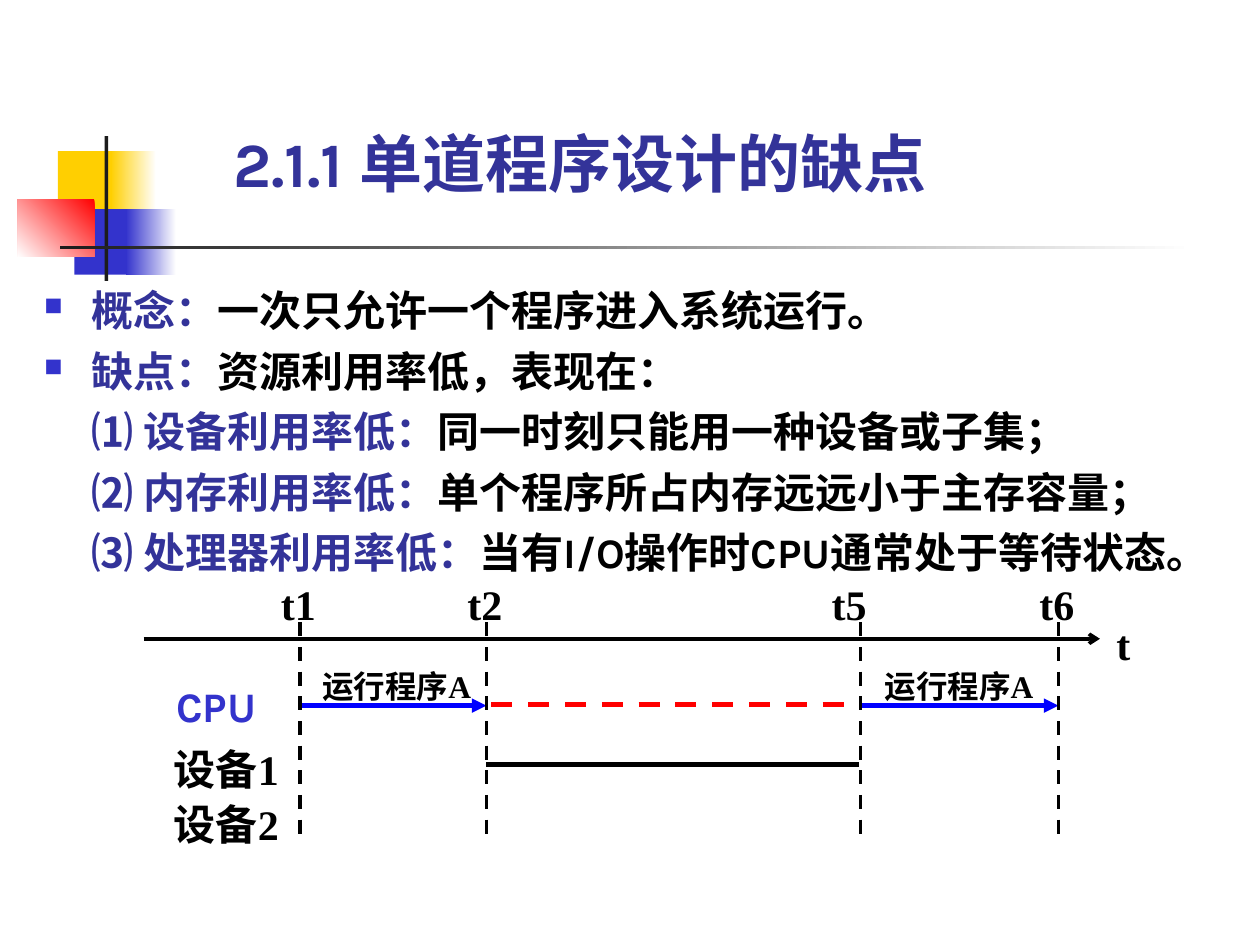
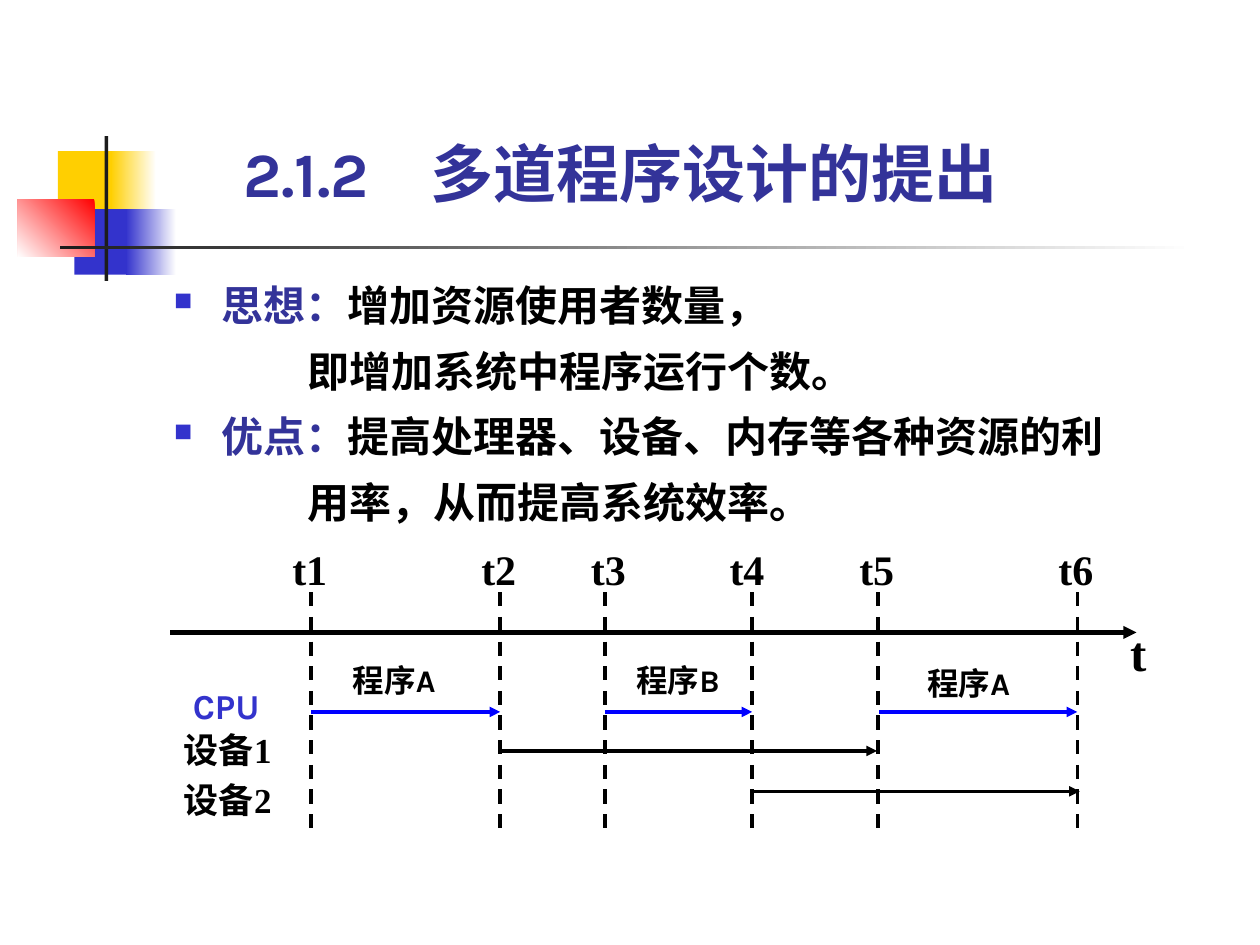
from dataclasses import dataclass

from lxml.etree import SubElement
from pptx import Presentation
from pptx.dml.color import RGBColor
from pptx.enum.dml import MSO_LINE
from pptx.enum.shapes import MSO_CONNECTOR, MSO_SHAPE
from pptx.enum.text import MSO_ANCHOR, MSO_AUTO_SIZE as AutoSize, PP_ALIGN
from pptx.oxml.ns import qn
from pptx.slide import Slide
from pptx.text.text import TextFrame, _Paragraph as Paragraph
from pptx.util import Emu, Inches, Pt

COLORS = {
    "yellow": "FFCF01", "indigo": "3333CC", "red": "FF0000", "white": "FFFFFF",
    "ink": "1C1C1C", "heading": "333399", "black": "000000", "blue": "0000FF",
}
SANS, SERIF = "Karla", "Times New Roman"

# The page is a grid of 100 columns by 75 rows of square cells.
WIDTH, HEIGHT = Inches(10), Inches(7.5)
CELL = WIDTH / 100
HANG = 3.8
TITLE_WIDTH, TITLE_HEIGHT = 62.6, 6


@dataclass(frozen=True)
class Band:
    left: float
    top: float
    width: float
    height: float
    colors: tuple[str, ...]
    angle: float = 180


@dataclass(frozen=True)
class Label:
    text: str
    left: float
    top: float
    width: float
    size: float = 24
    font: str = SERIF
    color: str = "black"


@dataclass(frozen=True)
class Stroke:
    start: float
    end: float
    row: float
    color: str = "black"
    weight: float = 2
    head: str = "triangle"
    dashed: bool = False


@dataclass(frozen=True)
class Mark:
    """A moment on the time axis; its name starts `shift` columns before it."""
    name: str
    column: float
    shift: float = 1.5


@dataclass(frozen=True)
class Point:
    """A body line: a coloured lead, then black text."""
    lead: str
    text: str
    bullet: bool = False
    indent: float = HANG


@dataclass(frozen=True)
class Body:
    left: float
    top: float
    width: float
    height: float
    spacing: float
    points: tuple[Point, ...]


@dataclass(frozen=True)
class Timeline:
    mark_top: float
    mark_bottom: float
    name_top: float
    marks: tuple[Mark, ...]
    strokes: tuple[Stroke, ...]
    labels: tuple[Label, ...]


@dataclass(frozen=True)
class Page:
    title: str
    title_left: float
    title_top: float
    body: Body
    timeline: Timeline
    title_tab: float = 0


BANDS = (
    Band(4.6, 12, 4.8, 5.2, ("yellow",)),
    Band(8.8, 12, 3.6, 5.2, ("white", "yellow")),
    Band(5.9, 16.6, 4.6, 5.2, ("indigo",)),
    Band(10, 16.6, 4, 5.2, ("white", "indigo")),
    Band(1.4, 15.8, 6.1, 4.6, ("red", "white"), 225),
    Band(8.3, 10.8, 0.3, 11.5, ("ink",)),
    Band(4.8, 19.5, 90, 0.3, ("white", "ink")),
)

PAGES = (
    Page(
        "2.1.1 单道程序设计的缺点", 18.5, 9.9,
        Body(3.5, 21.8, 96.5, 24, 1.2, (
            Point("概念：", "一次只允许一个程序进入系统运行。", bullet=True),
            Point("缺点：", "资源利用率低，表现在：", bullet=True),
            Point("⑴ 设备利用率低：", "同一时刻只能用一种设备或子集；"),
            Point("⑵ 内存利用率低：", "单个程序所占内存远远小于主存容量；"),
            Point("⑶ 处理器利用率低：", "当有I/O操作时CPU通常处于等待状态。"),
        )),
        Timeline(
            49.4, 66.9, 45.9,
            (Mark("t1", 23.8), Mark("t2", 38.6), Mark("t5", 68.3, 2.3), Mark("t6", 84)),
            (
                Stroke(11.4, 87.3, 50.7, head="arrow"),
                Stroke(23.8, 38.6, 56, "blue", 2.75),
                Stroke(68.4, 84, 56, "blue", 2.75),
                Stroke(38.6, 68.2, 60.7, weight=2.75, head=""),
                Stroke(39, 67.8, 55.9, "red", 3, head="", dashed=True),
            ),
            (
                Label("t", 88.6, 49.1, 1.5),
                Label("CPU", 14, 54, 7.8, font=SANS, color="indigo"),
                Label("设备1", 13.8, 59, 10.4),
                Label("设备2", 13.8, 63.4, 10.4),
                Label("运行程序A", 25.6, 52.9, 12, 18),
                Label("运行程序A", 70.2, 52.9, 12.8, 18),
            ),
        ),
    ),
    Page(
        "2.1.2\t多道程序设计的提出", 19.3, 10.7,
        Body(13.8, 21, 76.4, 20.8, 1.3, (
            Point("思想：", "增加资源使用者数量，", bullet=True),
            Point("", "即增加系统中程序运行个数。", indent=10.6),
            Point("优点：", "提高处理器、设备、内存等各种资源的利", bullet=True),
            Point("", "用率，从而提高系统效率。", indent=10.6),
        )),
        Timeline(
            47, 65.9, 43.1,
            (
                Mark("t1", 24.7), Mark("t2", 39.7), Mark("t3", 48, 1.1),
                Mark("t4", 59.7, 1.8), Mark("t5", 69.7), Mark("t6", 85.5),
            ),
            (
                Stroke(13.5, 90.2, 50.2, weight=2.5),
                Stroke(24.7, 39.7, 56.5, "blue"),
                Stroke(48, 59.7, 56.5, "blue"),
                Stroke(69.8, 85.5, 56.5, "blue"),
                Stroke(39.7, 69.6, 59.6),
                Stroke(59.7, 85.7, 62.8),
            ),
            (
                Label("t", 89.7, 49.4, 2, 28),
                Label("CPU", 15.3, 54.3, 6.8, 20, SANS, "indigo"),
                Label("设备1", 14.6, 57.8, 8.6, 20),
                Label("设备2", 14.6, 61.8, 8.6, 20),
                Label("程序A", 28, 52.5, 9.2, 18, SANS),
                Label("程序B", 50.5, 52.5, 9.2, 18, SANS),
                Label("程序A", 73.6, 52.7, 9.2, 18, SANS),
            ),
        ),
        title_tab=14.9,
    ),
)


def cells(*counts: float) -> list[Emu]:
    return [Emu(round(count * CELL)) for count in counts]


def rgb(name: str) -> RGBColor:
    return RGBColor.from_string(COLORS[name])


def clear_margins(frame: TextFrame) -> None:
    frame.word_wrap = True
    frame.margin_left = frame.margin_top = frame.margin_right = frame.margin_bottom = 0


def style(para: Paragraph, font: str, size: float, color: str) -> None:
    para.alignment = PP_ALIGN.LEFT
    para.font.name, para.font.size, para.font.bold = font, Pt(size), True
    para.font.color.rgb = rgb(color)


def draw_band(slide: Slide, band: Band) -> None:
    box = cells(band.left, band.top, band.width, band.height)
    shape = slide.shapes.add_shape(MSO_SHAPE.RECTANGLE, *box)
    shape.shadow.inherit = False
    shape.line.fill.background()
    if len(band.colors) == 1:
        shape.fill.solid()
        shape.fill.fore_color.rgb = rgb(band.colors[0])
        return
    shape.fill.gradient()
    shape.fill.gradient_angle = band.angle
    for stop, color in zip(shape.fill.gradient_stops, band.colors):
        stop.color.rgb = rgb(color)


def write_title(slide: Slide, page: Page) -> None:
    title = slide.shapes.title
    title.left, title.top, title.width, title.height = cells(
        page.title_left, page.title_top, TITLE_WIDTH, TITLE_HEIGHT)
    frame = title.text_frame
    clear_margins(frame)
    frame.vertical_anchor = MSO_ANCHOR.BOTTOM
    frame.auto_size = AutoSize.SHAPE_TO_FIT_TEXT
    frame.text = page.title
    para = frame.paragraphs[0]
    if page.title_tab:
        tabs = SubElement(para._p.get_or_add_pPr(), qn("a:tabLst"))
        SubElement(tabs, qn("a:tab"), pos=str(cells(page.title_tab)[0]), algn="l")
    style(para, SANS, 36, "heading")


def set_bullet(para: Paragraph) -> None:
    props = para._p.get_or_add_pPr()
    color = SubElement(props, qn("a:buClr"))
    SubElement(color, qn("a:srgbClr"), val=COLORS["indigo"])
    SubElement(props, qn("a:buSzPct"), val="60000")
    SubElement(props, qn("a:buChar"), char="■")


def write_body(slide: Slide, body: Body) -> None:
    box = slide.shapes.add_textbox(*cells(body.left, body.top, body.width, body.height))
    frame = box.text_frame
    clear_margins(frame)
    for index, point in enumerate(body.points):
        para = frame.add_paragraph() if index else frame.paragraphs[0]
        props = para._p.get_or_add_pPr()
        props.set("marL", str(cells(point.indent)[0]))
        props.set("indent", str(cells(-HANG if point.bullet else 0)[0]))
        if point.bullet:
            set_bullet(para)
        para.line_spacing = body.spacing
        style(para, SANS, 24, "black")
        if point.lead:
            lead = para.add_run()
            lead.text = point.lead
            lead.font.color.rgb = rgb("heading")
        para.add_run().text = point.text


def write_label(slide: Slide, label: Label) -> None:
    box = slide.shapes.add_textbox(
        *cells(label.left, label.top, label.width, label.size / 6))
    frame = box.text_frame
    clear_margins(frame)
    frame.auto_size = AutoSize.SHAPE_TO_FIT_TEXT
    frame.text = label.text
    style(frame.paragraphs[0], label.font, label.size, label.color)


def draw_line(slide: Slide, ends: tuple[float, float, float, float], color: str = "black",
              weight: float = 2, head: str = "", dashed: bool = False) -> None:
    line = slide.shapes.add_connector(MSO_CONNECTOR.STRAIGHT, *cells(*ends))
    line.line.color.rgb = rgb(color)
    line.line.width = Pt(weight)
    if dashed:
        line.line.dash_style = MSO_LINE.DASH
    props = line._element.spPr
    if head:
        SubElement(props.find(qn("a:ln")), qn("a:tailEnd"), type=head)
    SubElement(props, qn("a:effectLst"))


def draw_timeline(slide: Slide, timeline: Timeline) -> None:
    for stroke in timeline.strokes:
        draw_line(slide, (stroke.start, stroke.row, stroke.end, stroke.row),
                  stroke.color, stroke.weight, stroke.head, stroke.dashed)
    for mark in timeline.marks:
        draw_line(slide, (mark.column, timeline.mark_top, mark.column, timeline.mark_bottom),
                  dashed=True)
        write_label(slide, Label(mark.name, mark.column - mark.shift, timeline.name_top, 4))
    for label in timeline.labels:
        write_label(slide, label)


def main() -> None:
    deck = Presentation()
    deck.slide_width, deck.slide_height = WIDTH, HEIGHT
    title_only = deck.slide_layouts[5]
    for page in PAGES:
        slide = deck.slides.add_slide(title_only)
        for band in BANDS:
            draw_band(slide, band)
        write_title(slide, page)
        write_body(slide, page.body)
        draw_timeline(slide, page.timeline)
    deck.save("out.pptx")


if __name__ == "__main__":
    main()
